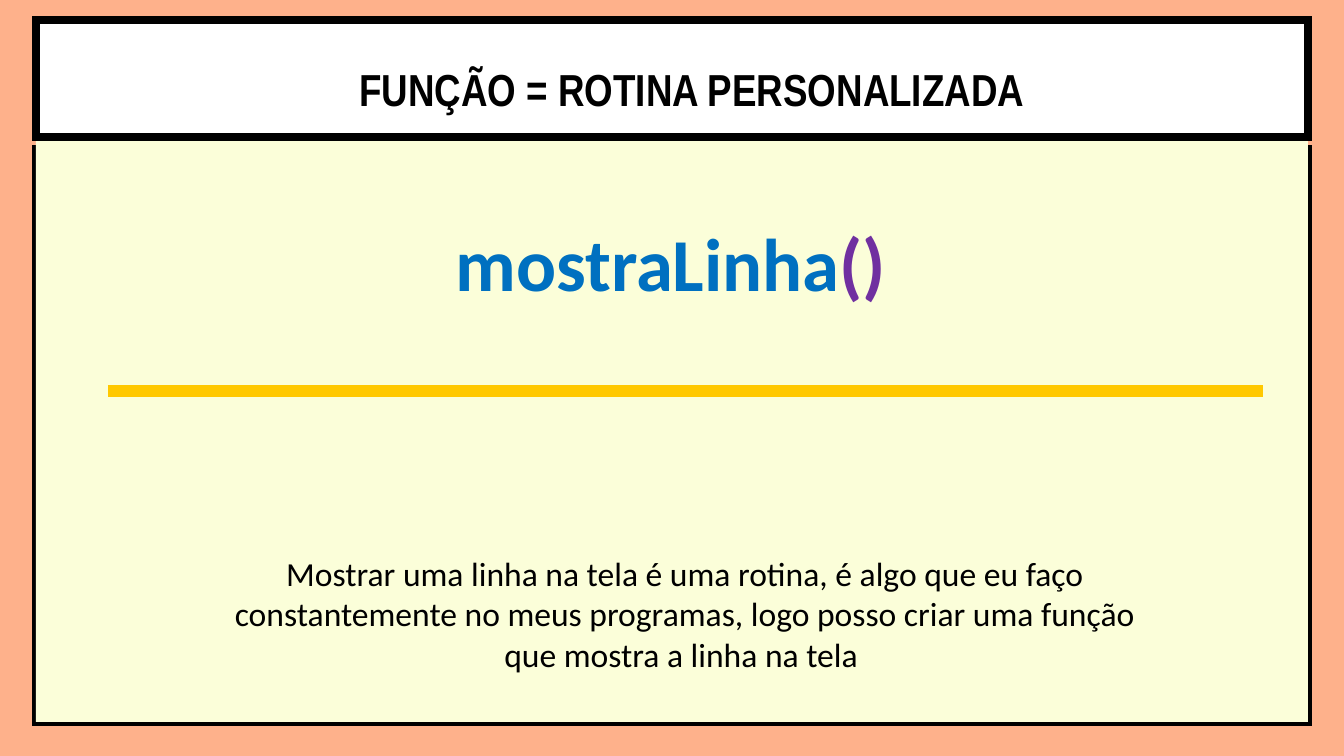
from pptx import Presentation
from pptx.dml.color import RGBColor
from pptx.enum.shapes import MSO_CONNECTOR, MSO_SHAPE
from pptx.enum.text import MSO_ANCHOR, PP_ALIGN
from pptx.oxml.ns import qn
from pptx.util import Pt
from lxml.etree import SubElement

EMU_PER_PX = 914400 / 134.4
WIDTH, HEIGHT = 1344, 756
BACKGROUND = "FEB18B"

# Panels: left, top, width, height, fill, outline width in points
LEFT, PANEL_WIDTH = 36, 1272
PANELS = [
    (LEFT, 149, PANEL_WIDTH, 573, "FBFED9", 4.5),  # body frame
    (LEFT, 137, PANEL_WIDTH, 585, "FBFED9", 0),    # body surface
    (LEFT, 20, PANEL_WIDTH, 117, "FFFFFF", 4.5),   # title bar
]

DIVIDER = (108, 391, 1263, 391)

# Texts: box, margins (x, y), line spacing, font, size, bold, runs (text, colour)
TEXTS = [
    ((56, 40, 1272, 77), (0, 0), 1.4, "Arial Narrow", 24, True,
     [("FUNÇÃO = ROTINA PERSONALIZADA", "000000")]),
    ((200, 546, 970, 136), (13, 7), 1, "Calibri", 18, False,
     [("Mostrar uma linha na tela é uma rotina, é algo que eu faço "
       "constantemente no meus programas, logo posso criar uma função "
       "que mostra a linha na tela ", "000000")]),
    ((95, 210, 1152, 104), (13, 7), 1, "Calibri", 40, True,
     [("mostraLinha", "0070C0"), ("()", "7030A0")]),
]


def px(value):
    return round(value * EMU_PER_PX)


def color(value):
    return RGBColor.from_string(value)


def add_panel(slide, left, top, width, height, fill, outline):
    shape = slide.shapes.add_shape(
        MSO_SHAPE.RECTANGLE, px(left), px(top), px(width), px(height))
    shape.shadow.inherit = False
    shape.fill.solid()
    shape.fill.fore_color.rgb = color(fill)
    if outline:
        shape.line.color.rgb = color("000000")
        shape.line.width = Pt(outline)
        # Square corners
        SubElement(shape.line._get_or_add_ln(), qn("a:miter"), lim="800000")
    else:
        shape.line.fill.background()


def add_divider(slide, points):
    connector = slide.shapes.add_connector(
        MSO_CONNECTOR.STRAIGHT, *(px(value) for value in points))
    connector.line.color.rgb = color("FFC800")
    connector.line.width = Pt(6)
    SubElement(connector._element.spPr, qn("a:effectLst"))


def add_text(slide, box, margins, spacing, font, size, bold, runs):
    frame = slide.shapes.add_textbox(*(px(value) for value in box)).text_frame
    frame.word_wrap = True
    frame.vertical_anchor = MSO_ANCHOR.TOP
    frame.margin_left = frame.margin_right = px(margins[0])
    frame.margin_top = frame.margin_bottom = px(margins[1])
    paragraph = frame.paragraphs[0]
    paragraph.alignment = PP_ALIGN.CENTER
    paragraph.line_spacing = spacing
    for text, text_color in runs:
        run = paragraph.add_run()
        run.text = text
        run.font.name = font
        run.font.size = Pt(size)
        run.font.bold = bold
        run.font.color.rgb = color(text_color)


def main():
    presentation = Presentation()
    presentation.slide_width = px(WIDTH)
    presentation.slide_height = px(HEIGHT)
    slide = presentation.slides.add_slide(presentation.slide_layouts[6])
    slide.background.fill.solid()
    slide.background.fill.fore_color.rgb = color(BACKGROUND)

    for panel in PANELS:
        add_panel(slide, *panel)
    add_divider(slide, DIVIDER)
    for text in TEXTS:
        add_text(slide, *text)

    presentation.save("out.pptx")


if __name__ == "__main__":
    main()
